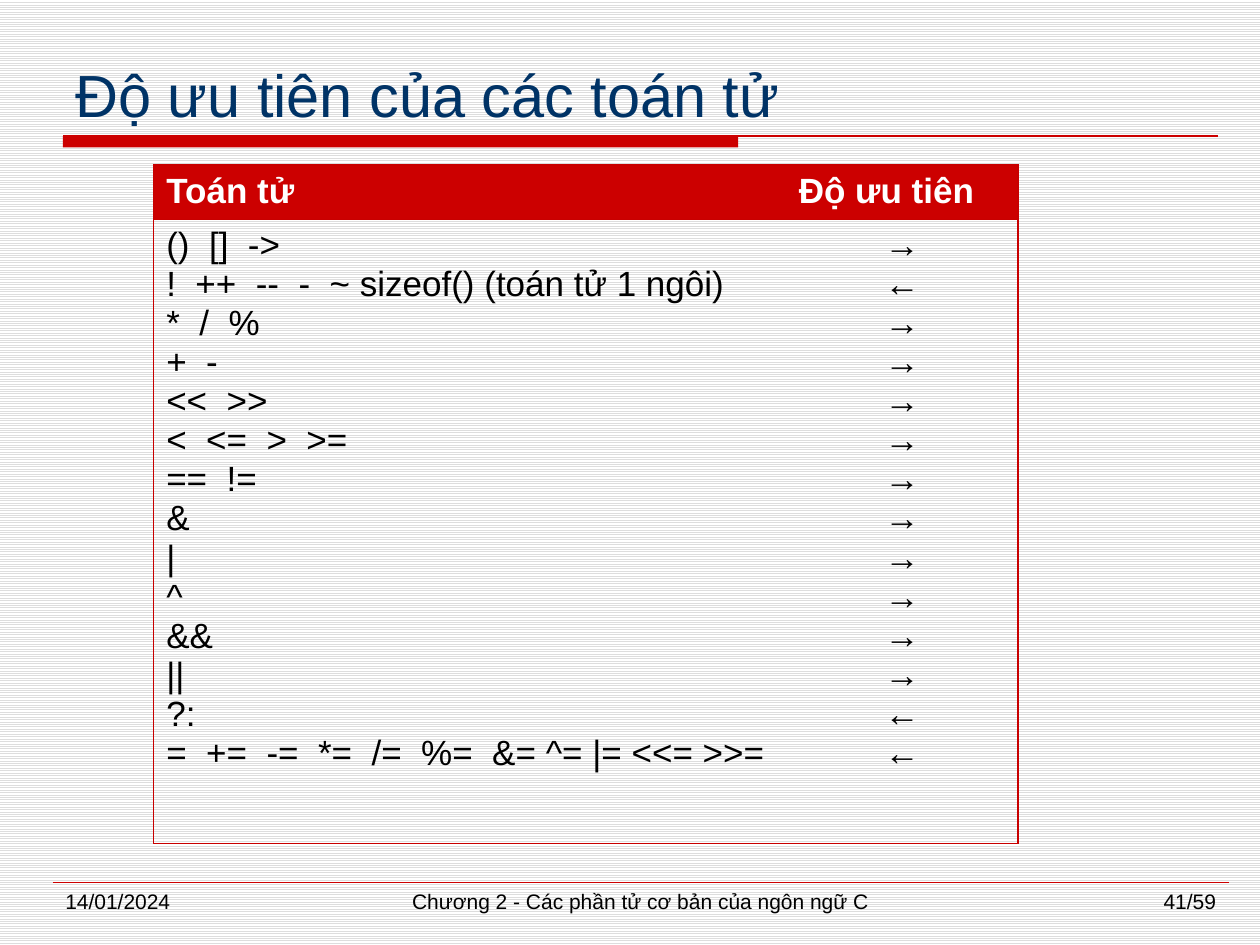
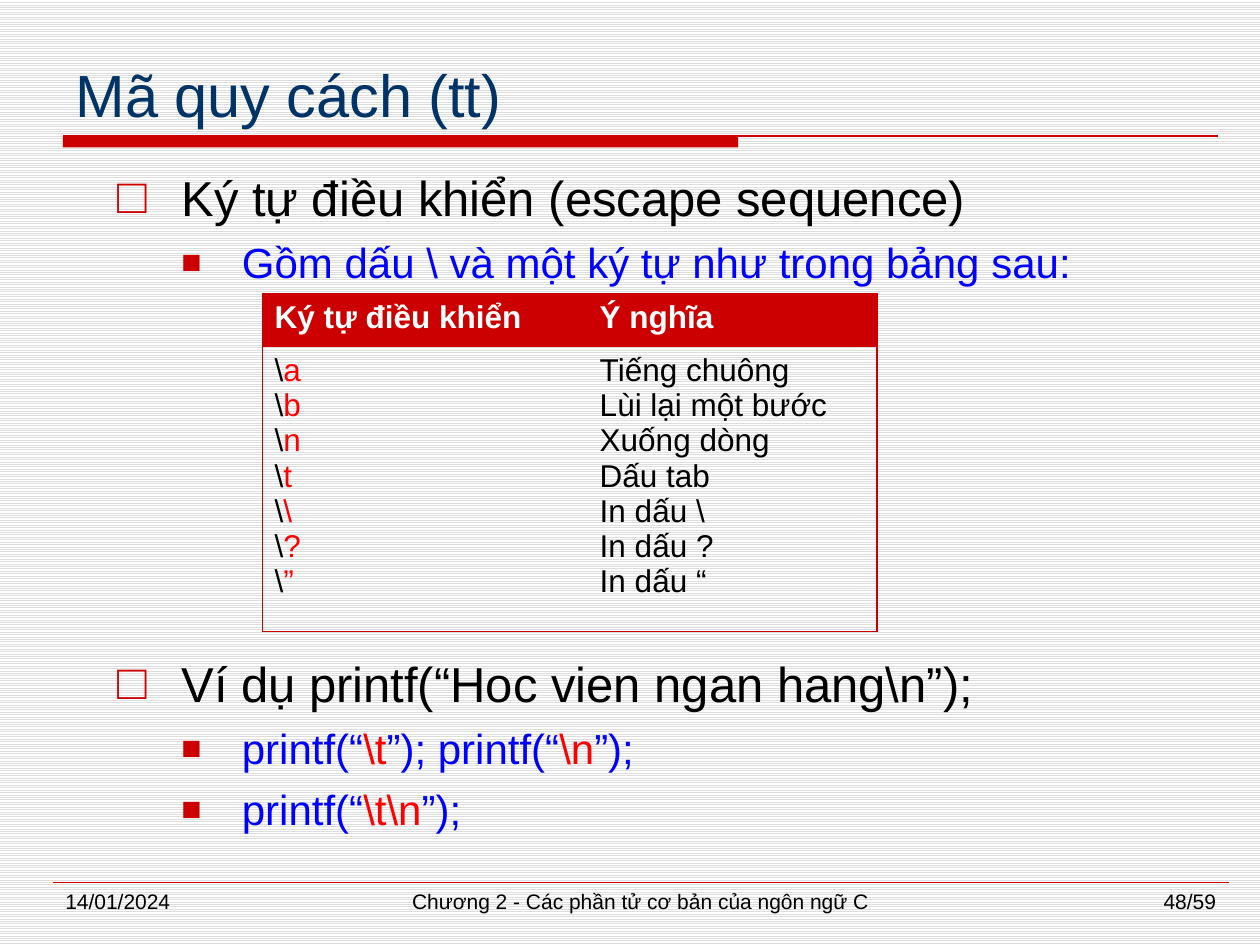
from lxml import etree
from pptx import Presentation
from pptx.dml.color import RGBColor
from pptx.enum.dml import MSO_PATTERN
from pptx.enum.shapes import MSO_CONNECTOR, MSO_SHAPE
from pptx.enum.text import MSO_ANCHOR, MSO_AUTO_SIZE, PP_ALIGN
from pptx.oxml.ns import qn
from pptx.util import Inches, Pt

LEFT, CENTER, RIGHT = PP_ALIGN.LEFT, PP_ALIGN.CENTER, PP_ALIGN.RIGHT
JUSTIFY = PP_ALIGN.JUSTIFY
BOTTOM = MSO_ANCHOR.BOTTOM
NO_FIT = MSO_AUTO_SIZE.NONE
STRAIGHT = MSO_CONNECTOR.STRAIGHT
RECT = MSO_SHAPE.RECTANGLE
STRIPES = MSO_PATTERN.LIGHT_HORIZONTAL

FONT = "Arial"
RED, EDGE, MARK = "CC0000", "C80000", "FF0000"
NAVY, BLUE, BLACK, WHITE, GREY = "003366", "0000FF", "000000", "FFFFFF", "DDDDDD"
TITLE_ONLY, TITLE_BODY = 5, 1
DATE = "14/01/2024"
CHAPTER = "Chương 2 - Các phần tử cơ bản của ngôn ngữ C"
PAGES = 59

# Bullet levels: indent, hang, sign, sign size, text format
LEVELS = [
    (0.51, 0.51, "□", 100, {"size": Pt(28), "color": BLACK}),
    (0.99, 0.48, "■", 80, {"size": Pt(24), "color": BLUE}),
]


def rgb(color):
    return RGBColor.from_string(color)


def place(shape, left, top, width, height):
    box = {"left": left, "top": top, "width": width, "height": height}
    for name, value in box.items():
        setattr(shape, name, Inches(value))


def style(font, form):
    for name, value in {"name": FONT, **form}.items():
        if name == "color":
            font.color.rgb = rgb(value)
        else:
            setattr(font, name, value)


def write(para, parts, form, align=LEFT):
    """Fill a paragraph; every second part of a tuple is marked red."""
    para.alignment = align
    parts = (parts,) if isinstance(parts, str) else parts
    for i, part in enumerate(parts):
        run = para.add_run()
        run.text = part
        style(run.font, {**form, "color": MARK} if i % 2 else form)


def write_all(frame, lines, form, align=LEFT):
    for i, line in enumerate(lines):
        para = frame.add_paragraph() if i else frame.paragraphs[0]
        write(para, line, form, align)


# Shared parts
def add_line(slide, left, right, y, width):
    line = slide.shapes.add_connector(
        STRAIGHT, Inches(left), Inches(y), Inches(right), Inches(y))
    line.line.color.rgb = rgb(RED)
    line.line.width = Pt(width)
    etree.SubElement(line._element.spPr, qn("a:effectLst"))


def add_note(slide, left, width, text, align):
    box = slide.shapes.add_textbox(
        Inches(left), Inches(7), Inches(width), Inches(0.35))
    box.text_frame.word_wrap = True
    write(box.text_frame.paragraphs[0], text,
          {"size": Pt(12), "color": BLACK}, align)


def add_slide(prs, layout, title, page):
    slide = prs.slides.add_slide(prs.slide_layouts[layout])
    # Title
    head = slide.shapes.title
    place(head, 0.5, 0.33, 9.17, 0.75)
    frame = head.text_frame
    frame.auto_size = NO_FIT
    frame.vertical_anchor = BOTTOM
    write(frame.paragraphs[0], title, {"size": Pt(34), "color": NAVY})
    # Band under the title
    band = slide.shapes.add_shape(RECT, 0, 0, 0, 0)
    place(band, 0.5, 1.08, 5.36, 0.09)
    band.shadow.inherit = False
    band.fill.solid()
    band.fill.fore_color.rgb = rgb(RED)
    band.line.fill.background()
    add_line(slide, 0.5, 9.67, 1.08, 1.5)
    # Footer
    add_line(slide, 0.42, 9.75, 7, 0.25)
    add_note(slide, 0.42, 2.17, DATE, LEFT)
    add_note(slide, 2.92, 4.33, CHAPTER, CENTER)
    add_note(slide, 7.58, 2.17, f"{page}/{PAGES}", RIGHT)
    return slide


# Lists
def add_item(para, level, parts, before):
    indent, hang, sign, size, form = LEVELS[level]
    para.level = level
    para.space_before = Pt(before)
    props = para._p.get_or_add_pPr()
    props.set("marL", str(Inches(indent)))
    props.set("indent", str(-Inches(hang)))
    color = etree.SubElement(props, qn("a:buClr"))
    etree.SubElement(color, qn("a:srgbClr"), val=RED)
    etree.SubElement(props, qn("a:buSzPct"), val=str(size * 1000))
    etree.SubElement(props, qn("a:buChar"), char=sign)
    write(para, parts, form, JUSTIFY)


def add_list(slide, items):
    body = slide.placeholders[1]
    place(body, 0.83, 1.28, 8.67, 5.64)
    frame = body.text_frame
    frame.auto_size = NO_FIT
    for i, item in enumerate(items):
        para = frame.add_paragraph() if i else frame.paragraphs[0]
        add_item(para, *item)


# Tables
def set_edge(cell, side, shown):
    line = etree.SubElement(cell._tc.get_or_add_tcPr(), qn(f"a:ln{side}"),
                            w=str(Pt(0.75)))
    if shown:
        fill = etree.SubElement(line, qn("a:solidFill"))
        etree.SubElement(fill, qn("a:srgbClr"), val=EDGE)
    else:
        etree.SubElement(line, qn("a:noFill"))


def add_grid(slide, left, top, widths, heights, size, heads, lists, aligns):
    table = slide.shapes.add_table(
        2, 2, Inches(left), Inches(top),
        Inches(sum(widths)), Inches(sum(heights))).table
    table.first_row = table.horz_banding = False
    for i in range(2):
        table.columns[i].width = Inches(widths[i])
        table.rows[i].height = Inches(heights[i])
    for col in range(2):
        top_cell, low_cell = table.cell(0, col), table.cell(1, col)
        for cell in (top_cell, low_cell):
            for side, shown in zip("LRTB", (col == 0, col == 1, True, True)):
                set_edge(cell, side, shown)
        top_cell.fill.solid()
        top_cell.fill.fore_color.rgb = rgb(RED)
        low_cell.fill.background()
        write(top_cell.text_frame.paragraphs[0], heads[col],
              {"size": Pt(size), "color": WHITE, "bold": True})
        write_all(low_cell.text_frame, lists[col],
                  {"size": Pt(size), "color": BLACK, "bold": False},
                  aligns[col])


def add_ranks(prs):
    slide = add_slide(prs, TITLE_ONLY, "Độ ưu tiên của các toán tử", 41)
    ranks = [
        ("()  []  ->", "→"),
        ("!  ++  --  -  ~ sizeof() (toán tử 1 ngôi)", "←"),
        ("*  /  %", "→"),
        ("+  -", "→"),
        ("<<  >>", "→"),
        ("<  <=  >  >=", "→"),
        ("==  !=", "→"),
        ("&", "→"),
        ("|", "→"),
        ("^", "→"),
        ("&&", "→"),
        ("||", "→"),
        ("?:", "←"),
        ("=  +=  -=  *=  /=  %=  &= ^= |= <<= >>=", "←"),
    ]
    add_grid(slide, 1.22, 1.31, (5.02, 1.84), (0.42, 4.95), 20,
             ("Toán tử", "Độ ưu tiên"), list(zip(*ranks)), (LEFT, CENTER))


def add_codes(prs):
    slide = add_slide(prs, TITLE_BODY, "Mã quy cách (tt)", 48)
    # The third item leaves room for the table
    add_list(slide, [
        (0, "Ký tự điều khiển (escape sequence)", 0),
        (1, "Gồm dấu \\ và một ký tự như trong bảng sau:", 6),
        (0, "Ví dụ printf(“Hoc vien ngan hang\\n”);", 209),
        (1, ("printf(“", "\\t", "”); printf(“", "\\n", "”);"), 6),
        (1, ("printf(“", "\\t\\n", "”);"), 6),
    ])
    codes = {
        "a": "Tiếng chuông",
        "b": "Lùi lại một bước",
        "n": "Xuống dòng",
        "t": "Dấu tab",
        "\\": "In dấu \\",
        "?": "In dấu ?",
        "”": "In dấu “",
    }
    signs = [("\\", sign) for sign in codes]
    add_grid(slide, 2.08, 2.33, (2.58, 2.3), (0.42, 2.26), 18,
             ("Ký tự điều khiển", "Ý nghĩa"),
             (signs, codes.values()), (LEFT, LEFT))


def main():
    prs = Presentation()
    prs.slide_width, prs.slide_height = Inches(10), Inches(7.5)
    # Striped ground for all slides
    ground = prs.slide_master.background.fill
    ground.patterned()
    ground.pattern = STRIPES
    ground.fore_color.rgb = rgb(GREY)
    ground.back_color.rgb = rgb(WHITE)
    add_ranks(prs)
    add_codes(prs)
    prs.save("out.pptx")


if __name__ == "__main__":
    main()
